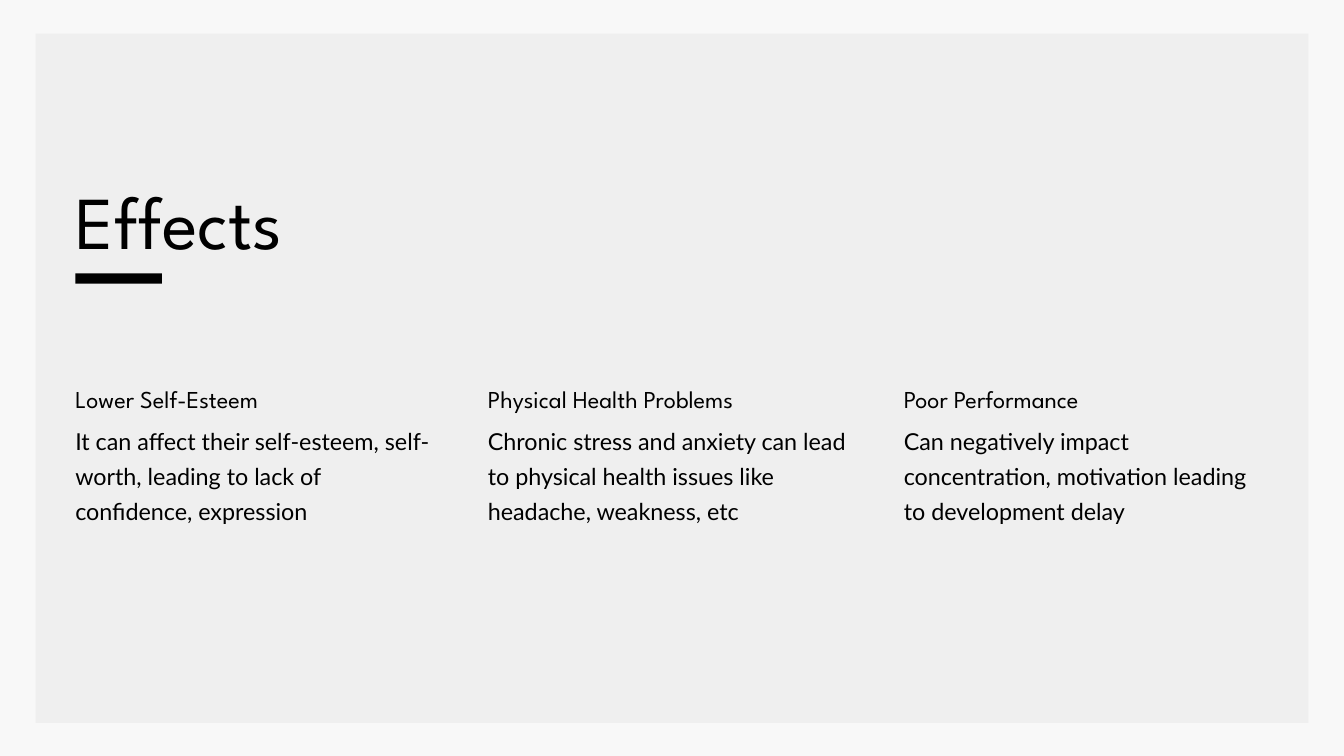
"""Build the Effects slide: a heading with an accent bar over three columns."""
import dataclasses

import pptx
import pptx.dml.color
import pptx.enum.shapes
import pptx.enum.text
import pptx.util


@dataclasses.dataclass(frozen=True)
class TextStyle:
    font: str
    size: float
    leading: float


@dataclasses.dataclass(frozen=True)
class Theme:
    backdrop: str = "F8F8F8"
    panel: str = "EFEFEF"
    ink: str = "000000"
    title: TextStyle = TextStyle("League Spartan", 80, 88)
    heading: TextStyle = TextStyle("League Spartan", 26, 36.4)
    body: TextStyle = TextStyle("Lato", 25, 37.5)


theme = Theme()
deck = pptx.Presentation()
deck.slide_width = pptx.util.Inches(20)
deck.slide_height = pptx.util.Inches(11.25)
column = deck.slide_width / 100
row = deck.slide_height / 100


def add_block(shapes, left, top, width, height, color):
    block = shapes.add_shape(
        pptx.enum.shapes.MSO_SHAPE.RECTANGLE,
        round(left * column), round(top * row),
        round(width * column), round(height * row),
    )
    block.shadow.inherit = False
    block.fill.solid()
    block.fill.fore_color.rgb = pptx.dml.color.RGBColor.from_string(color)
    block.line.fill.background()


def add_text(shapes, left, top, width, height, text, style):
    box = shapes.add_textbox(
        round(left * column), round(top * row),
        round(width * column), round(height * row),
    )
    frame = box.text_frame
    frame.margin_left = frame.margin_top = frame.margin_right = frame.margin_bottom = 0
    frame.word_wrap = True
    frame.auto_size = pptx.enum.text.MSO_AUTO_SIZE.SHAPE_TO_FIT_TEXT
    para = frame.paragraphs[0]
    para.text = text
    para.line_spacing = pptx.util.Pt(style.leading)
    para.font.name = style.font
    para.font.size = pptx.util.Pt(style.size)
    para.font.color.rgb = pptx.dml.color.RGBColor.from_string(theme.ink)


page = deck.slides.add_slide(deck.slide_layouts[6])
page.background.fill.solid()
page.background.fill.fore_color.rgb = pptx.dml.color.RGBColor.from_string(theme.backdrop)

margin = 5.6
add_block(page.shapes, 2.65, 4.44, 94.7, 91.2, theme.panel)
add_text(page.shapes, margin, 24.18, 80.55, 11.2, "Effects", theme.title)
add_block(page.shapes, margin, 36.18, 6.45, 1.33, theme.ink)

effects = [
    (margin, "Lower Self-Esteem",
     "It can affect their self-esteem, self-worth, leading to lack of confidence, expression"),
    (36.3, "Physical Health Problems",
     "Chronic stress and anxiety can lead to physical health issues like headache, weakness, etc"),
    (67.25, "Poor Performance",
     "Can negatively impact concentration, motivation leading to development delay"),
]
effect_width = 27.1
for left, heading, body in effects:
    group = page.shapes.add_group_shape()
    add_text(group.shapes, left, 55.56, effect_width, 13.24, body, theme.body)
    add_text(group.shapes, left, 50.13, effect_width, 4.18, heading, theme.heading)

deck.save("out.pptx")
